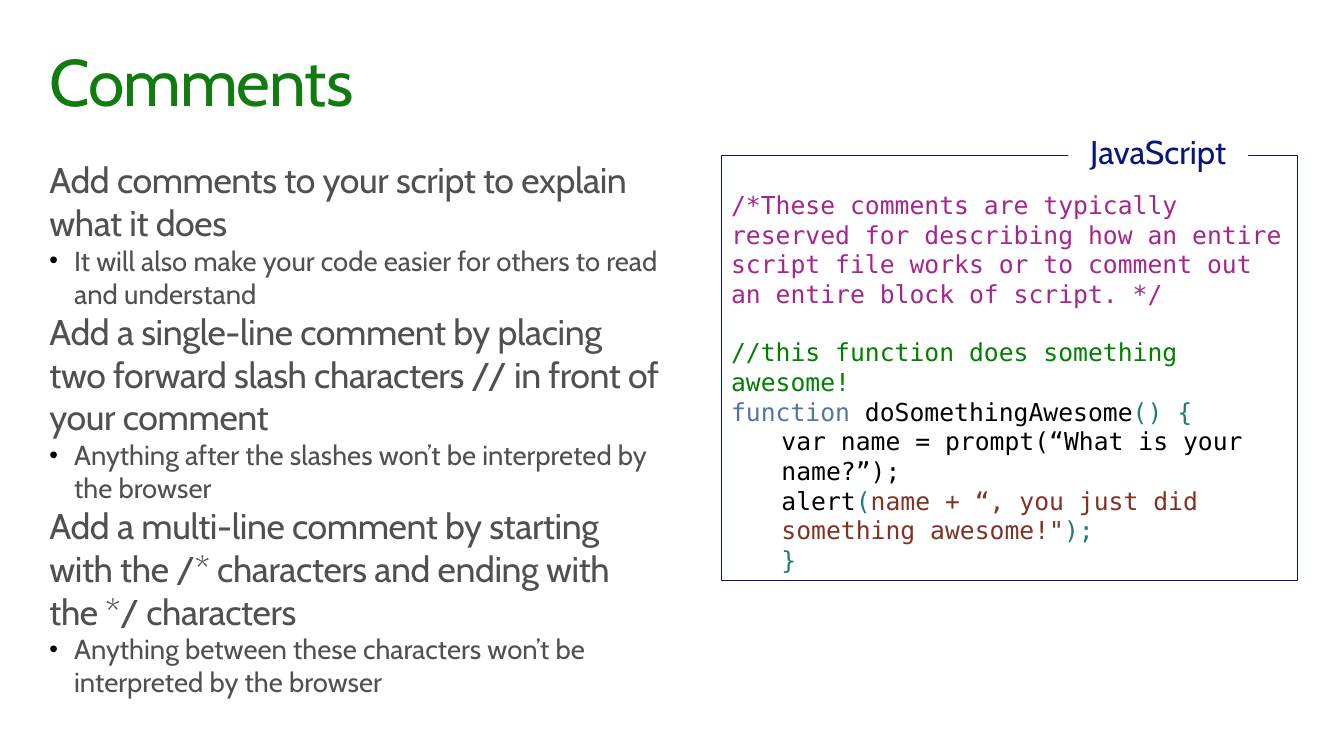
from pptx import Presentation
from pptx.dml.color import RGBColor
from pptx.enum.shapes import MSO_SHAPE
from pptx.enum.text import MSO_ANCHOR, MSO_AUTO_SIZE, PP_ALIGN
from pptx.oxml.ns import qn
from pptx.util import Inches, Pt
from lxml.etree import SubElement

# Content
TITLE = "Comments"
POINTS = [
    ("Add comments to your script to explain what it does",
     "It will also make your code easier for others to read and understand"),
    ("Add a single-line comment by placing two forward slash characters // in front of your comment",
     "Anything after the slashes won’t be interpreted by the browser"),
    ("Add a multi-line comment by starting with the /* characters and ending with the */ characters",
     "Anything between these characters won’t be interpreted by the browser"),
]
LABEL = "JavaScript"
# Each code line: indent, space before in points, (text, colour) pieces
CODE = [
    (0, 0, [("/*These comments are typically reserved for describing how an entire "
             "script file works or to comment out an entire block of script. */", "block")]),
    (0, 21, [("//this function does something awesome!", "line")]),
    (0, 0, [("function", "keyword"), (" doSomethingAwesome", "code"), ("() {", "bracket")]),
    (0.51, 0, [("var name = prompt(“What is your name?”);", "code")]),
    (0.51, 0, [("alert", "code"), ("(", "bracket"),
               ("name + “, you just did something awesome!\"", "string"), (");", "bracket")]),
    (0.51, 0, [("}", "bracket")]),
]
COLORS = {
    "title": "107C10", "body": "505050", "bullet": "000000", "frame": "09157C",
    "white": "FFFFFF", "block": "A4268C", "line": "008000", "keyword": "4F76AC",
    "code": "000000", "bracket": "1E7C70", "string": "823125",
}
SANS, MONO = "Cabin", "DejaVu Sans Mono"


def color(name):
    return RGBColor.from_string(COLORS[name])


def style(r, size, name, font=SANS, spacing=0):
    r.font.size, r.font.name = Pt(size), font
    r.font.color.rgb = color(name)
    if spacing:
        r.font._element.set("spc", str(round(spacing * 100)))


def indent(p, left, first=0):
    pPr = p._p.get_or_add_pPr()
    pPr.set("marL", str(Inches(left)))
    pPr.set("indent", str(Inches(first)))
    return pPr


def place(sp, left, top, width, height):
    sp.left, sp.top, sp.width, sp.height = map(Inches, (left, top, width, height))


def frame_text(sp, top, bottom):
    tf = sp.text_frame
    tf.word_wrap, tf.auto_size = True, MSO_AUTO_SIZE.NONE
    tf.vertical_anchor = MSO_ANCHOR.TOP
    tf.margin_left = tf.margin_right = Inches(0.1)
    tf.margin_top, tf.margin_bottom = Inches(top), Inches(bottom)
    return tf


def add_box(s, left, top, width, height):
    sp = s.shapes.add_shape(MSO_SHAPE.RECTANGLE, *map(Inches, (left, top, width, height)))
    sp.shadow.inherit = False
    return sp


prs = Presentation()
prs.slide_width, prs.slide_height = Inches(13.6), Inches(7.65)
s = prs.slides.add_slide(prs.slide_layouts[1])

# Title
title = s.shapes.title
place(title, 0.4, 0.4, 12.8, 1)
tf = frame_text(title, 0.1, 0.1)
tf.text = TITLE
p = tf.paragraphs[0]
p.alignment, p.line_spacing = PP_ALIGN.LEFT, 0.9
style(p.runs[0], 48, "title", spacing=-0.7)

# Points, each with one bulleted detail
body = s.placeholders[1]
place(body, 0.4, 1.5, 6.4, 5.75)
tf = frame_text(body, 0.1, 0.1)
lines = [(level, text) for point in POINTS for level, text in enumerate(point)]
for i, (level, text) in enumerate(lines):
    p = tf.add_paragraph() if i else tf.paragraphs[0]
    p.text, p.level, p.space_before = text, level, Pt(0)
    if level:
        pPr = indent(p, 0.25, -0.25)
        SubElement(SubElement(pPr, qn("a:buClr")), qn("a:srgbClr"), val=COLORS["bullet"])
        SubElement(pPr, qn("a:buSzPct"), val="90000")
        SubElement(pPr, qn("a:buFont"), typeface="Arial")
        SubElement(pPr, qn("a:buChar"), char="•")
        style(p.runs[0], 20, "body")
    else:
        SubElement(indent(p, 0), qn("a:buNone"))
        style(p.runs[0], 26, "body", spacing=-0.3)

# Code frame
code = add_box(s, 7.3, 1.57, 5.83, 4.3)
code.fill.background()
code.line.color.rgb, code.line.width = color("frame"), Pt(0.75)
tf = frame_text(code, 0.35, 0.05)
for i, (left, before, pieces) in enumerate(CODE):
    p = tf.add_paragraph() if i else tf.paragraphs[0]
    p.alignment, p.space_before = PP_ALIGN.LEFT, Pt(before)
    indent(p, left)
    for text, name in pieces:
        r = p.add_run()
        r.text = text
        style(r, 18, name, MONO)

# Label over the frame's top edge
label = add_box(s, 10.81, 1.32, 1.82, 0.43)
label.fill.solid()
label.fill.fore_color.rgb = color("white")
label.line.fill.background()
tf = frame_text(label, 0.05, 0.05)
tf.vertical_anchor = MSO_ANCHOR.MIDDLE
tf.text = LABEL
tf.paragraphs[0].alignment = PP_ALIGN.CENTER
style(tf.paragraphs[0].runs[0], 24, "frame")

prs.save("out.pptx")
